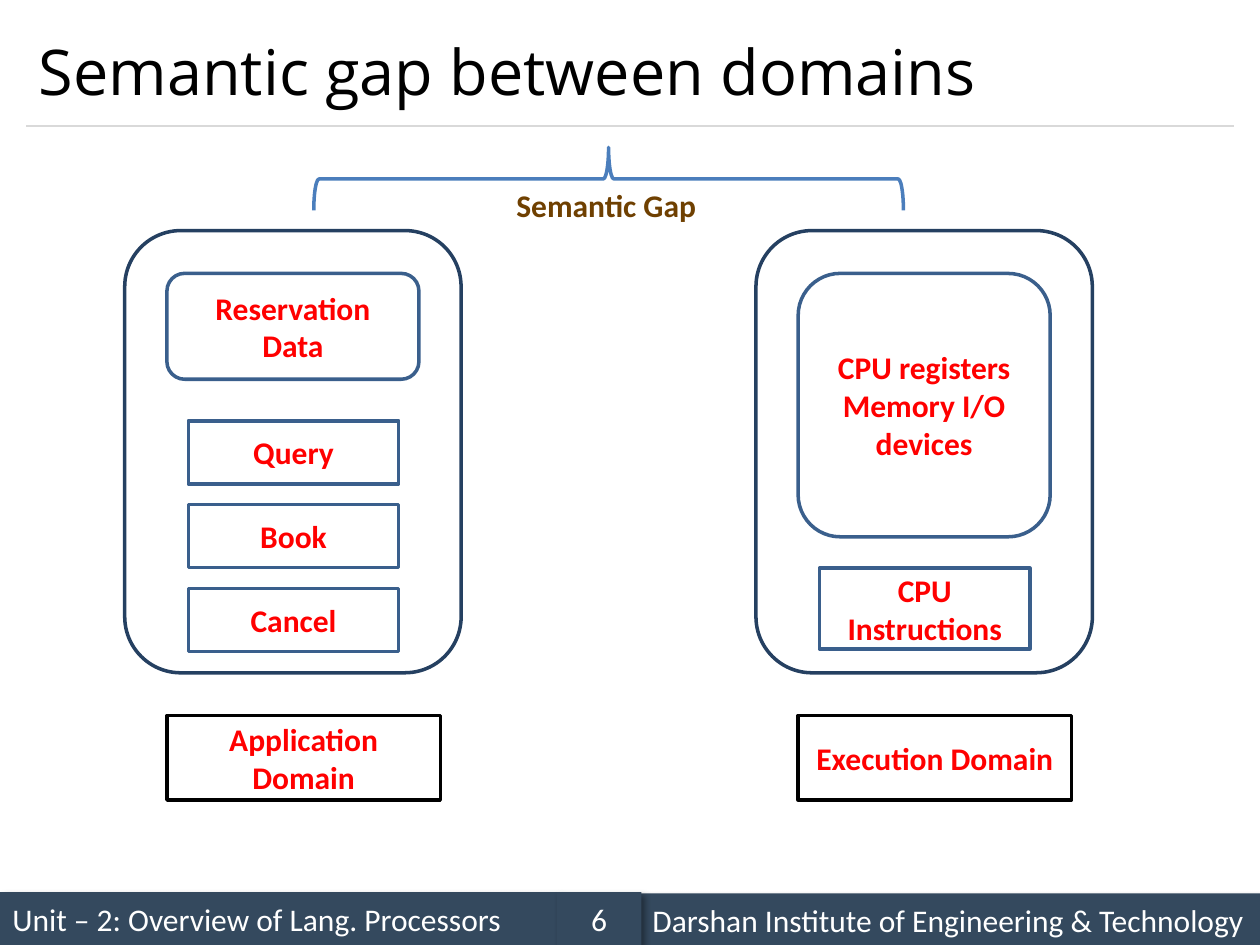
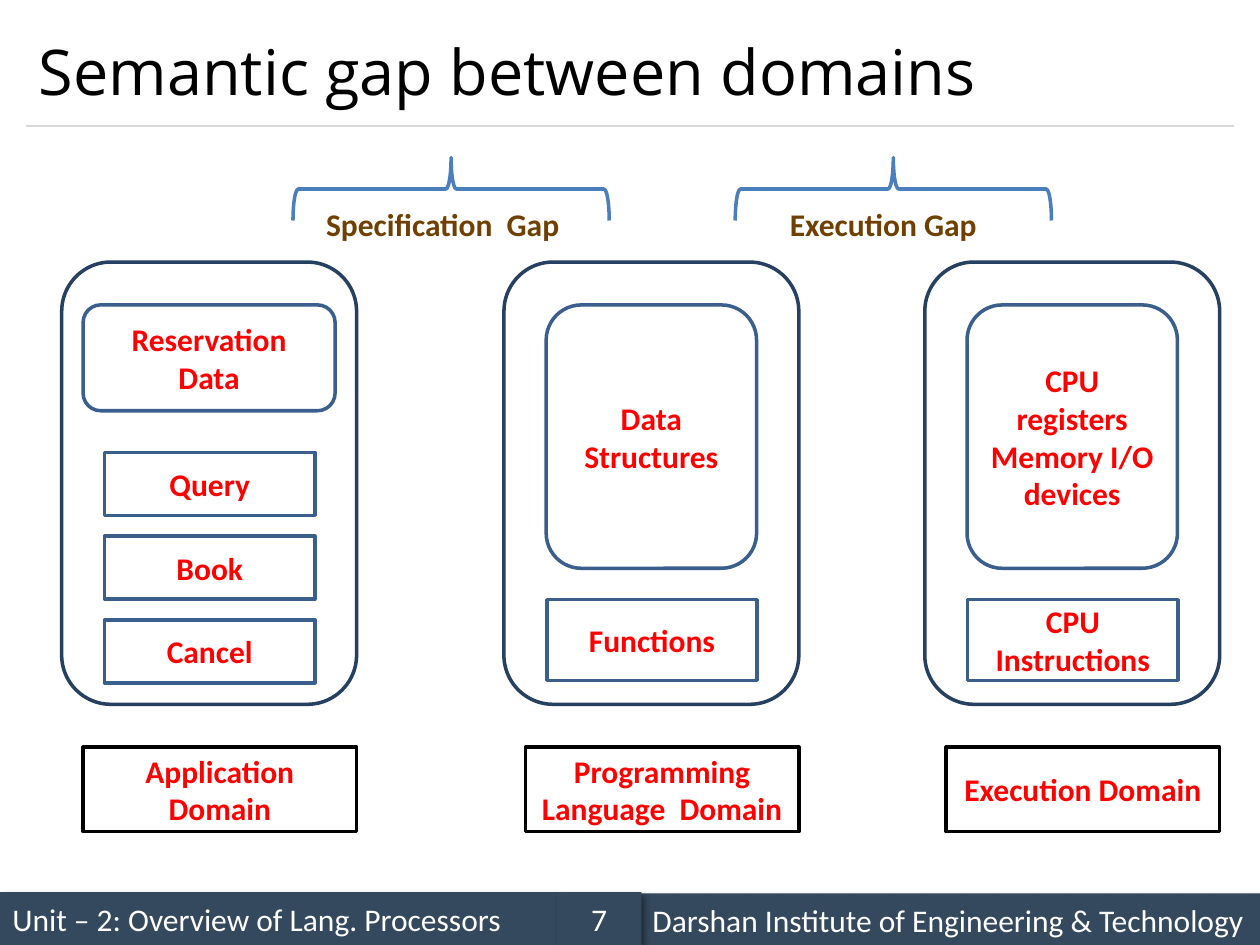
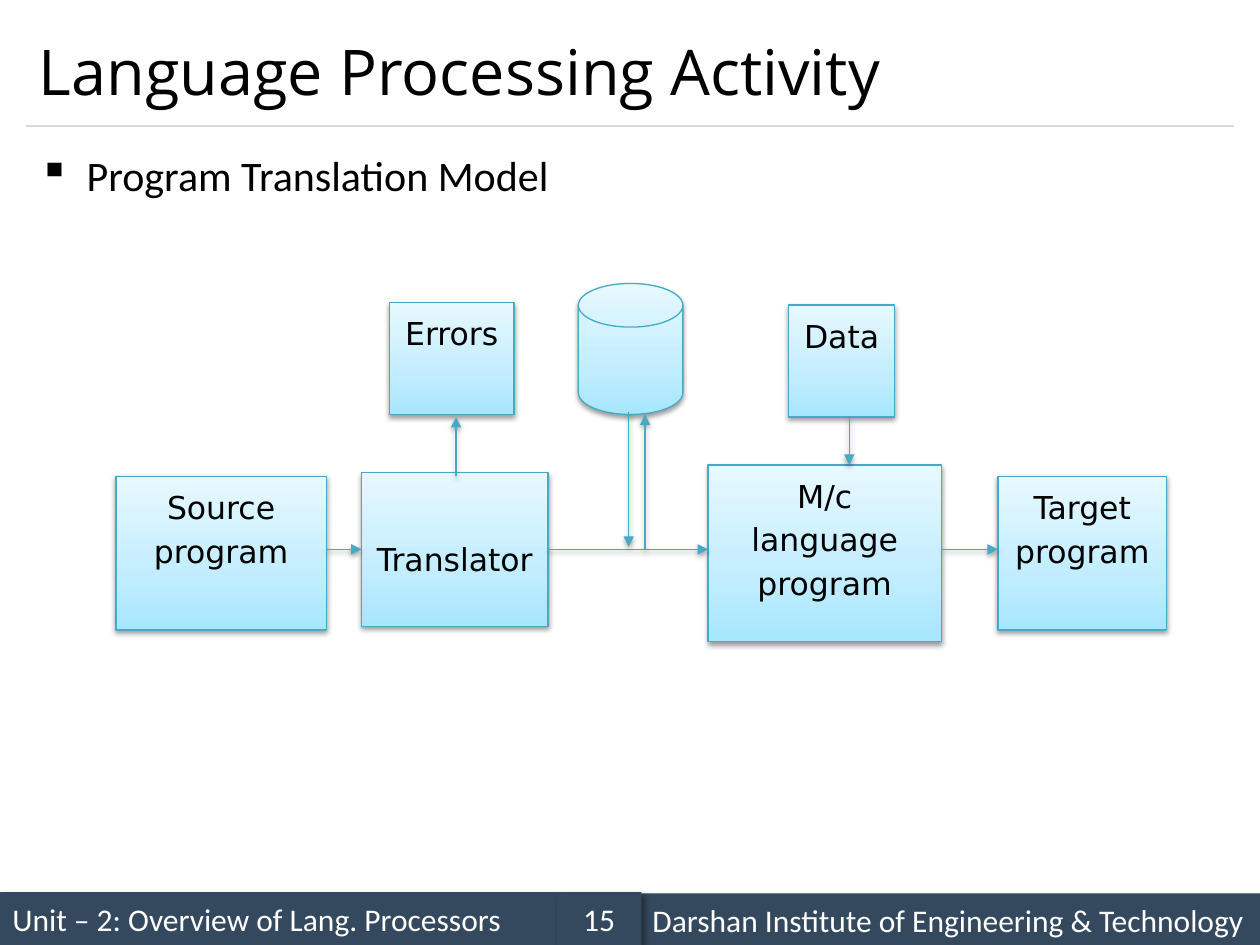
from dataclasses import dataclass
from typing import NamedTuple, Optional

from lxml import etree
from pptx import Presentation
from pptx.dml.color import RGBColor
from pptx.enum.shapes import MSO_CONNECTOR, MSO_SHAPE
from pptx.enum.text import MSO_ANCHOR, PP_ALIGN
from pptx.oxml.ns import qn
from pptx.util import Inches, Pt

RECT = MSO_SHAPE.RECTANGLE
ROUNDED = MSO_SHAPE.ROUNDED_RECTANGLE
BRACE = MSO_SHAPE.RIGHT_BRACE
DISK = MSO_SHAPE.FLOWCHART_MAGNETIC_DISK
STRAIGHT = MSO_CONNECTOR.STRAIGHT
TOP, MIDDLE = MSO_ANCHOR.TOP, MSO_ANCHOR.MIDDLE
LEFT, CENTER = PP_ALIGN.LEFT, PP_ALIGN.CENTER
LEFT_SIDE, RIGHT_SIDE = 1, 3

COLORS = {
    "black": "000000", "white": "FFFFFF", "footer": "34495E", "rule": "D9D9D9",
    "frame": "254061", "item": "3A5F8C", "brace": "4B7EBC",
    "label": "FF0000", "gap": "6F4001", "flow": "46AAC5",
}
FLOW_GRADIENT = [(0, "A7E6FF"), (35, "C1EDFF"), (100, "E7F8FF")]


class Area(NamedTuple):
    left: float
    top: float
    width: float
    height: float


class Shadow(NamedTuple):
    alpha: int
    blur: float
    distance: float
    angle: int


@dataclass(frozen=True)
class TextStyle:
    color: str
    size: int = 18
    font: str = "Calibri"
    bold: bool = False
    align: PP_ALIGN = CENTER
    anchor: MSO_ANCHOR = MIDDLE
    line_spacing: Optional[float] = None
    space_after: Optional[int] = None


@dataclass(frozen=True)
class BoxStyle:
    text: TextStyle
    line: Optional[str] = None
    line_width: float = 2
    fill: Optional[str] = None
    gradient: bool = False
    shadow: Optional[Shadow] = None


FOOTER_SHADOW = Shadow(40, 4, 3, 45)
FLOW_SHADOW = Shadow(38, 3.1, 1.6, 90)

TITLE_TEXT = TextStyle("black", 36, "Open Sans", align=LEFT)
BODY_TEXT = TextStyle("black", 24, align=LEFT, anchor=TOP, line_spacing=1.14)
GAP_TEXT = TextStyle("gap", bold=True, align=LEFT, anchor=TOP)
LABEL_TEXT = TextStyle("label", bold=True)
FLOW_TEXT = TextStyle("black", font="DejaVu Sans", anchor=TOP,
                      line_spacing=1.15, space_after=10)

FOOTER = BoxStyle(TextStyle("white", align=LEFT), fill="footer", shadow=FOOTER_SHADOW)
PAGE_NUMBER = BoxStyle(TextStyle("white"), fill="footer", shadow=FOOTER_SHADOW)
FRAME = BoxStyle(LABEL_TEXT, "frame")
ITEM = BoxStyle(LABEL_TEXT, "item")
NAME = BoxStyle(LABEL_TEXT, "black")
BRACKET = BoxStyle(LABEL_TEXT, "brace")
FLOW = BoxStyle(FLOW_TEXT, "flow", 0.75, gradient=True, shadow=FLOW_SHADOW)


class Domain(NamedTuple):
    name: str
    left: float
    data: str
    data_width: float
    operations: list[str]


class Gap(NamedTuple):
    label: str
    label_left: float
    label_width: float
    center: float
    span: float


class Node(NamedTuple):
    text: str
    area: Area
    kind: MSO_SHAPE = RECT
    top_inset: float = 0.05


class Arrow(NamedTuple):
    start: tuple[float, float]
    end: tuple[float, float]
    source: str = ""
    target: str = ""


def rgb(name: str) -> RGBColor:
    return RGBColor.from_string(COLORS[name])


def write(box, text: str, style: TextStyle) -> None:
    frame = box.text_frame
    frame.word_wrap = True
    frame.vertical_anchor = style.anchor
    frame.text = text
    para = frame.paragraphs[0]
    para.alignment = style.align
    if style.line_spacing:
        para.line_spacing = style.line_spacing
    if style.space_after:
        para.space_after = Pt(style.space_after)
    for span in para.runs:
        span.font.name = style.font
        span.font.size = Pt(style.size)
        span.font.bold = style.bold
        span.font.color.rgb = rgb(style.color)


def add_text(slide, area: Area, text: str, style: TextStyle):
    box = slide.shapes.add_textbox(*map(Inches, area))
    write(box, text, style)
    return box


def fill_effects(effects, shadow: Shadow) -> None:
    """Put an outer shadow into an effect list."""
    outer = etree.SubElement(
        effects, qn("a:outerShdw"), blurRad=str(Pt(shadow.blur)),
        dist=str(Pt(shadow.distance)), dir=str(shadow.angle * 60000),
        algn="t", rotWithShape="0")
    color = etree.SubElement(outer, qn("a:srgbClr"), val=COLORS["black"])
    etree.SubElement(color, qn("a:alpha"), val=str(shadow.alpha * 1000))


def fill_gradient(shape) -> None:
    shape.fill.gradient()
    shape.fill.gradient_angle = 90
    stops = shape._element.spPr.find(".//" + qn("a:gsLst"))
    for stop in list(stops):
        stops.remove(stop)
    for position, color in FLOW_GRADIENT:
        stop = etree.SubElement(stops, qn("a:gs"), pos=str(position * 1000))
        etree.SubElement(stop, qn("a:srgbClr"), val=color)


def add_box(slide, kind: MSO_SHAPE, area: Area, style: BoxStyle, text: str = ""):
    shape = slide.shapes.add_shape(kind, *map(Inches, area))
    shape.shadow.inherit = False
    if style.shadow:
        fill_effects(shape._element.spPr.find(qn("a:effectLst")), style.shadow)
    if style.gradient:
        fill_gradient(shape)
    elif style.fill:
        shape.fill.solid()
        shape.fill.fore_color.rgb = rgb(style.fill)
    else:
        shape.fill.background()
    if style.line:
        shape.line.color.rgb = rgb(style.line)
        shape.line.width = Pt(style.line_width)
    else:
        shape.line.fill.background()
    if text:
        write(shape, text, style.text)
    return shape


def add_line(slide, start: tuple[float, float], end: tuple[float, float],
             color: str, shadow: Optional[Shadow] = None, arrow: bool = False):
    line = slide.shapes.add_connector(STRAIGHT, *map(Inches, start + end))
    line.line.color.rgb = rgb(color)
    line.line.width = Pt(0.75)
    properties = line._element.spPr
    if arrow:
        etree.SubElement(properties.find(qn("a:ln")), qn("a:tailEnd"), type="triangle")
    effects = etree.SubElement(properties, qn("a:effectLst"))
    if shadow:
        fill_effects(effects, shadow)
    return line


def add_page(deck, title: str, number: int):
    """Add a slide with its footer bands, title rule and title."""
    page = deck.slides.add_slide(deck.slide_layouts[6])
    add_box(page, RECT, Area(0, 7.08, 4.42, 0.42), FOOTER,
            "Unit – 2: Overview of Lang. Processors")
    add_line(page, (0.21, 1), (9.79, 1), "rule")
    add_box(page, RECT, Area(5.08, 7.09, 4.92, 0.42), FOOTER,
            "Darshan Institute of Engineering & Technology")
    add_box(page, RECT, Area(4.42, 7.08, 0.67, 0.42), PAGE_NUMBER, str(number))
    add_text(page, Area(0.21, 0.12, 9.58, 0.88), title, TITLE_TEXT)
    return page


def add_domain(page, domain: Domain, top: float, width: float) -> None:
    """Draw a frame with data above operations, and the domain name below."""
    center = domain.left + width / 2
    add_box(page, ROUNDED, Area(domain.left, top, width, 3.51), FRAME)
    if len(domain.operations) > 1:
        data_height, first, height = 0.84, 1.51, 0.5
    else:
        data_height, first, height = 2.09, 2.68, 0.64
    add_box(page, ROUNDED, Area(center - domain.data_width / 2, top + 0.34,
                                domain.data_width, data_height), ITEM, domain.data)
    for index, operation in enumerate(domain.operations):
        add_box(page, RECT, Area(center - 0.83, top + first + index * 0.665,
                                 1.67, height), ITEM, operation)
    add_box(page, RECT, Area(domain.left + width / 2 - 1, top + 3.85, 2.17, 0.67),
            NAME, domain.name) if width > 2.5 else add_box(
        page, RECT, Area(center - 1, top + 3.85, 2.17, 0.67), NAME, domain.name)


def add_gap(page, gap: Gap, brace_middle: float, label_top: float) -> None:
    depth = 0.5
    brace = add_box(page, BRACE, Area(gap.center - depth / 2, brace_middle - gap.span / 2,
                                      depth, gap.span), BRACKET)
    brace.rotation = 270
    add_text(page, Area(gap.label_left, label_top, gap.label_width, 0.4),
             gap.label, GAP_TEXT)


def add_gap_page(deck, number: int, top: float, width: float, domains: list[Domain],
                 gaps: list[Gap], brace_middle: float, label_top: float) -> None:
    page = add_page(deck, "Semantic gap between domains", number)
    for domain in domains:
        add_domain(page, domain, top, width)
    for gap in gaps:
        add_gap(page, gap, brace_middle, label_top)


def application(left: float) -> Domain:
    return Domain("Application Domain", left, "Reservation Data", 2,
                  ["Query", "Book", "Cancel"])


def execution(left: float, data_width: float) -> Domain:
    return Domain("Execution Domain", left, "CPU registers Memory I/O devices",
                  data_width, ["CPU Instructions"])


def add_translation_page(deck) -> None:
    page = add_page(deck, "Language Processing Activity", 15)
    body = add_text(page, Area(0.21, 1.08, 9.58, 0.92), "Program Translation Model",
                    BODY_TEXT)
    properties = body.text_frame.paragraphs[0]._p.get_or_add_pPr()
    properties.set("marL", str(Inches(0.38)))
    properties.set("indent", str(-Inches(0.38)))
    etree.SubElement(properties, qn("a:buChar"), char="▪")

    nodes = [
        Node("Translator", Area(2.87, 3.75, 1.48, 1.22), top_inset=0.49),
        Node("M/c language program", Area(5.62, 3.69, 1.85, 1.4)),
        Node("", Area(4.59, 2.25, 0.83, 1.04), DISK),
        Node("Source program", Area(0.92, 3.78, 1.67, 1.22)),
        Node("Target program", Area(7.92, 3.78, 1.34, 1.22)),
        Node("Errors", Area(3.09, 2.4, 0.99, 0.89)),
        Node("Data", Area(6.26, 2.42, 0.84, 0.89)),
    ]
    boxes = {}
    for node in nodes:
        box = add_box(page, node.kind, node.area, FLOW, node.text)
        box.text_frame.margin_top = Inches(node.top_inset)
        boxes[node.text] = box

    flow = 4.36
    arrows = [
        Arrow((4.35, flow), (5.62, flow), source="Translator"),
        Arrow((4.99, 3.27), (4.99, 4.34)),
        Arrow((5.12, flow), (5.12, 3.29)),
        Arrow((2.59, flow), (2.87, flow), target="Translator"),
        Arrow((7.48, flow), (7.92, flow)),
        Arrow((3.62, 3.78), (3.62, 3.31)),
        Arrow((6.74, 3.31), (6.74, 3.69)),
    ]
    for arrow in arrows:
        line = add_line(page, arrow.start, arrow.end, "flow", FLOW_SHADOW, arrow=True)
        if arrow.source:
            line.begin_connect(boxes[arrow.source], RIGHT_SIDE)
        if arrow.target:
            line.end_connect(boxes[arrow.target], LEFT_SIDE)


def main() -> None:
    deck = Presentation()
    deck.slide_width, deck.slide_height = Inches(10), Inches(7.5)
    add_gap_page(deck, 6, 1.83, 2.67, [application(0.99), execution(6, 2)],
                 [Gap("Semantic Gap", 4, 1.84, 4.83, 4.68)], 1.42, 1.43)
    language = Domain("Programming Language  Domain", 4, "Data Structures", 1.67,
                      ["Functions"])
    add_gap_page(deck, 7, 2.08, 2.34,
                 [application(0.49), execution(7.34, 1.67), language],
                 [Gap("Specification  Gap", 2.49, 2.17, 3.58, 2.51),
                  Gap("Execution Gap", 6.17, 1.84, 7.09, 2.51)], 1.5, 1.58)
    add_translation_page(deck)
    deck.save("out.pptx")


if __name__ == "__main__":
    main()
